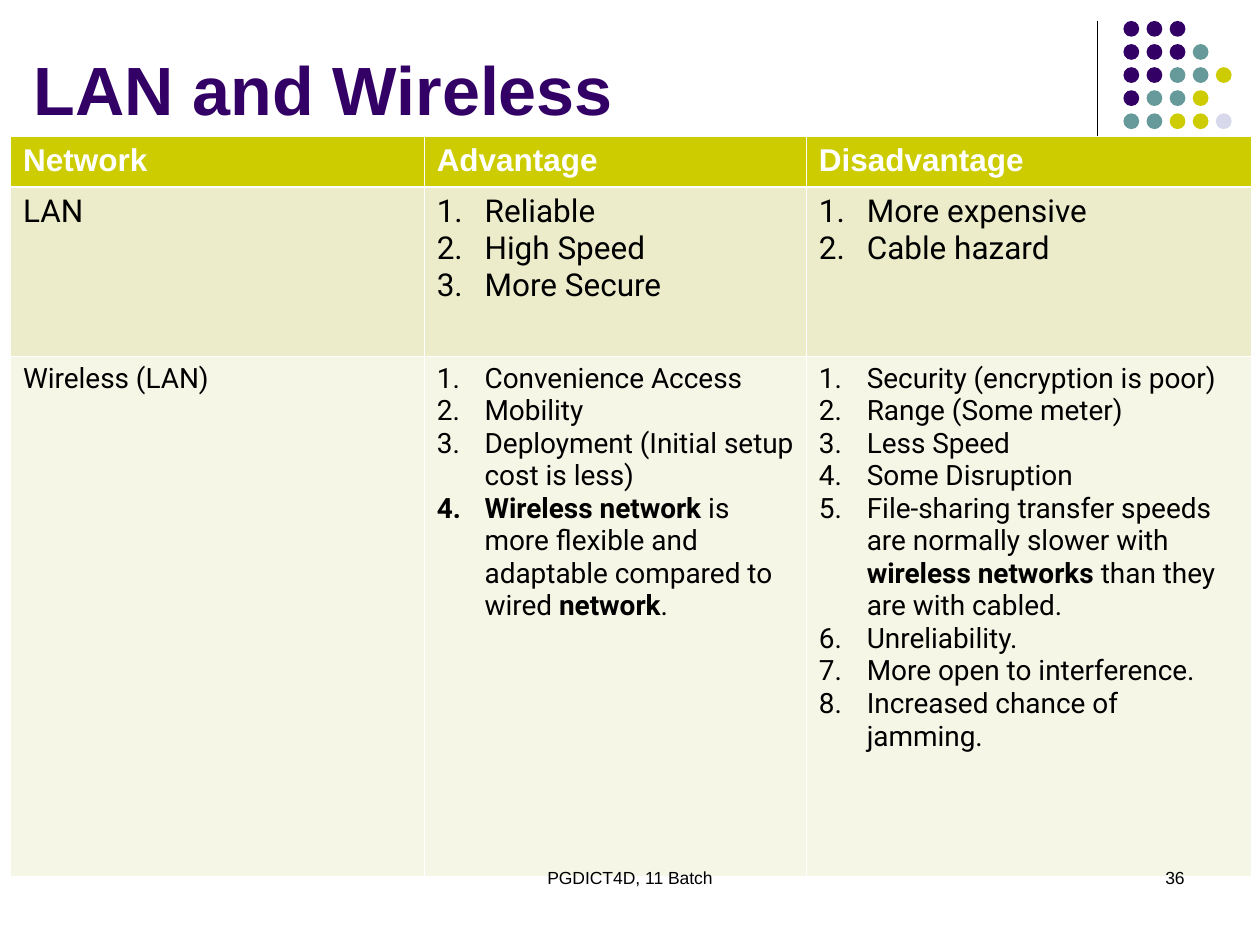
from lxml import etree
from pptx import Presentation
from pptx.dml.color import RGBColor
from pptx.enum.shapes import MSO_CONNECTOR, MSO_SHAPE
from pptx.enum.text import MSO_ANCHOR, MSO_AUTO_SIZE, PP_ALIGN
from pptx.oxml.ns import qn
from pptx.util import Inches, Pt

STRAIGHT = MSO_CONNECTOR.STRAIGHT
OVAL = MSO_SHAPE.OVAL
BOTTOM = MSO_ANCHOR.BOTTOM
NO_AUTOFIT = MSO_AUTO_SIZE.NONE
LEFT, CENTER, RIGHT = PP_ALIGN.LEFT, PP_ALIGN.CENTER, PP_ALIGN.RIGHT

PURPLE = RGBColor(0x33, 0x00, 0x66)
TEAL = RGBColor(0x66, 0x99, 0x99)
LIME = RGBColor(0xCC, 0xCC, 0x00)
LAVENDER = RGBColor(0xD8, 0xD8, 0xEC)
BEIGE = RGBColor(0xEC, 0xEC, 0xCB)
IVORY = RGBColor(0xF6, 0xF6, 0xE7)
BLACK = RGBColor(0x00, 0x00, 0x00)
WHITE = RGBColor(0xFF, 0xFF, 0xFF)

WIDTH, HEIGHT = Inches(10), Inches(7.5)
GRID_COLUMNS = 120
THIN, THICK = Pt(0.45), Pt(1.47)

DOT_COLORS = {"P": PURPLE, "T": TEAL, "L": LIME, "V": LAVENDER}
DOT_ROWS = ["PPP", "PPPT", "PPTTL", "PTTL", "TTLLV"]
DOT_PITCH, DOT_SIZE = 2.2, 1.5

COLUMN_WIDTHS = [39.4, 36.4, 42.4]
ROW_HEIGHTS = [4.8, 16.1, 49.6]
# A string is a plain cell, a list is a numbered one; ** marks bold text.
TABLE_ROWS = [
    ["Network", "Advantage", "Disadvantage"],
    [
        "LAN",
        ["Reliable", "High Speed", "More Secure"],
        ["More expensive", "Cable hazard"],
    ],
    [
        "Wireless (LAN)",
        [
            "Convenience Access",
            "Mobility",
            "Deployment (Initial setup cost is less)",
            "**Wireless network** is more flexible and adaptable "
            "compared to wired **network**.",
        ],
        [
            "Security (encryption is poor)",
            "Range (Some meter)",
            "Less Speed",
            "Some Disruption",
            "File-sharing transfer speeds are normally slower "
            "with **wireless networks** than they are with cabled.",
            "Unreliability.",
            "More open to interference.",
            "Increased chance of jamming.",
        ],
    ],
]
# Fill, font, size, text colour and bold of each table row.
ROW_STYLES = [
    (LIME, "Arial", 18, WHITE, True),
    (BEIGE, "Roboto", 18, BLACK, False),
    (IVORY, "Roboto", 16, BLACK, False),
]


def grid(*units):
    return [round(unit * WIDTH / GRID_COLUMNS) for unit in units]


def format_font(font, name, size, color, bold=False):
    font.name, font.size, font.bold = name, Pt(size), bold
    font.color.rgb = color


def add_numbering(paragraph):
    properties = paragraph._p.get_or_add_pPr()
    properties.set("marL", str(Inches(0.38)))
    properties.set("indent", str(-Inches(0.38)))
    etree.SubElement(properties, qn("a:buAutoNum"), type="arabicPeriod")


def add_borders(cell, top, bottom):
    properties = cell._tc.get_or_add_tcPr()
    for side, width in (("L", THIN), ("R", THIN), ("T", top), ("B", bottom)):
        line = etree.SubElement(properties, qn(f"a:ln{side}"), w=str(width))
        fill = etree.SubElement(line, qn("a:solidFill"))
        etree.SubElement(fill, qn("a:srgbClr"), val=str(WHITE))


class SlideBuilder:
    """Places elements on a slide; lengths are grid units of 1/120 slide width."""

    def __init__(self, presentation):
        self.slide = presentation.slides.add_slide(presentation.slide_layouts[5])
        self.shapes = self.slide.shapes

    def title(self, text, left, top, width, height):
        title = self.shapes.title
        title.left, title.top, title.width, title.height = grid(left, top, width, height)
        frame = title.text_frame
        frame.text = text
        frame.auto_size = NO_AUTOFIT
        frame.vertical_anchor = BOTTOM
        paragraph = frame.paragraphs[0]
        paragraph.alignment = LEFT
        format_font(paragraph.runs[0].font, "Arial", 39, PURPLE, True)

    def vertical_line(self, x, top, bottom):
        line = self.shapes.add_connector(STRAIGHT, *grid(x, top, x, bottom))
        line.line.color.rgb = BLACK
        line.line.width = Pt(0.75)
        etree.SubElement(line._element.spPr, qn("a:effectLst"))

    def dots(self, left, top):
        group = self.shapes.add_group_shape()
        for row, letters in enumerate(DOT_ROWS):
            for column, letter in enumerate(letters):
                position = grid(left + column * DOT_PITCH, top + row * DOT_PITCH)
                dot = group.shapes.add_shape(OVAL, *position, *grid(DOT_SIZE, DOT_SIZE))
                dot.shadow.inherit = False
                dot.fill.solid()
                dot.fill.fore_color.rgb = DOT_COLORS[letter]
                dot.line.fill.background()

    def table(self, left, top):
        size = grid(sum(COLUMN_WIDTHS), sum(ROW_HEIGHTS))
        table = self.shapes.add_table(
            len(ROW_HEIGHTS), len(COLUMN_WIDTHS), *grid(left, top), *size
        ).table
        for column, width in zip(table.columns, grid(*COLUMN_WIDTHS)):
            column.width = width
        for index, (row, height) in enumerate(zip(table.rows, grid(*ROW_HEIGHTS))):
            row.height = height
            borders = (THICK if index == 1 else THIN, THICK if index == 0 else THIN)
            for cell, content in zip(row.cells, TABLE_ROWS[index]):
                add_borders(cell, *borders)
                self.fill_cell(cell, content, *ROW_STYLES[index])

    def fill_cell(self, cell, content, fill, font, size, color, bold):
        cell.fill.solid()
        cell.fill.fore_color.rgb = fill
        numbered = isinstance(content, list)
        items = content if numbered else [content]
        cell.text_frame.text = "\n".join(items)
        for paragraph, item in zip(cell.text_frame.paragraphs, items):
            paragraph.text = ""
            if numbered:
                add_numbering(paragraph)
            for index, part in enumerate(item.split("**")):
                if part:
                    run = paragraph.add_run()
                    run.text = part
                    format_font(run.font, font, size, color, bold or index % 2 == 1)

    def footer(self, text, left, width, alignment):
        box = self.shapes.add_textbox(*grid(left, 82, width, 6))
        frame = box.text_frame
        frame.word_wrap = True
        frame.text = text
        paragraph = frame.paragraphs[0]
        paragraph.alignment = alignment
        format_font(paragraph.runs[0].font, "Arial", 10, BLACK)


def main():
    presentation = Presentation()
    presentation.slide_width, presentation.slide_height = WIDTH, HEIGHT
    builder = SlideBuilder(presentation)
    builder.vertical_line(104.5, 2, 22)
    builder.dots(107, 2)
    builder.title("LAN and Wireless", 2, 1.5, 103, 11.4)
    builder.table(1, 13)
    builder.footer("PGDICT4D, 11 Batch", 41, 38, CENTER)
    builder.footer("36", 86, 28, RIGHT)
    presentation.save("out.pptx")


if __name__ == "__main__":
    main()
